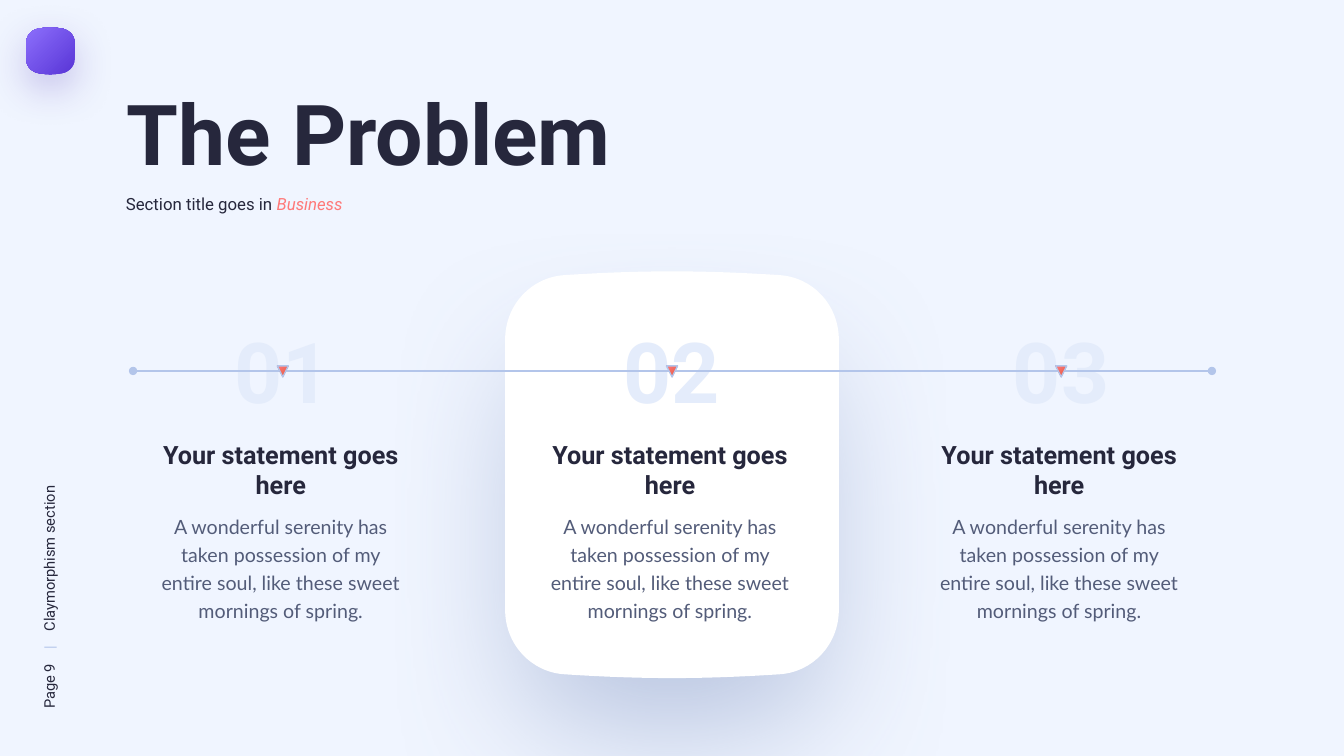
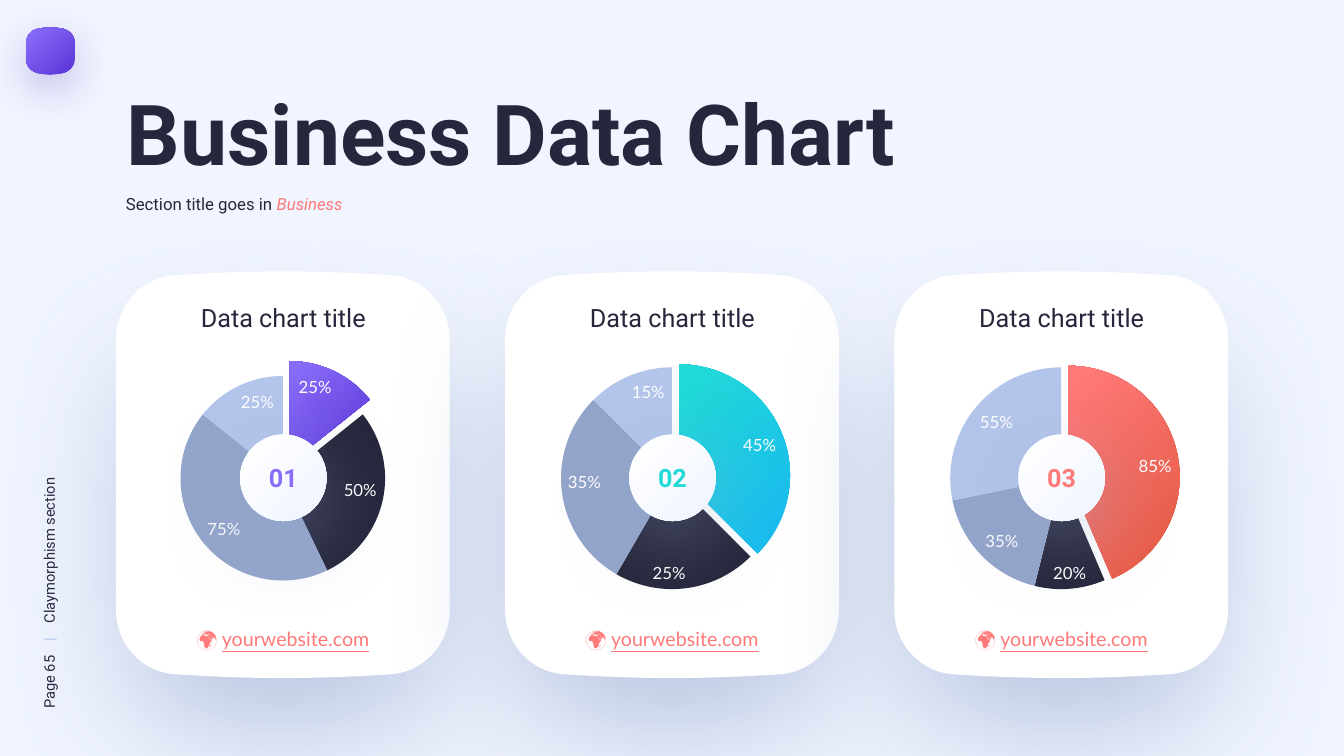
from lxml import etree
from pptx import Presentation
from pptx import util as u
from pptx.chart import data as cd
from pptx.dml import color as dc
from pptx.enum import chart as ch, shapes, text as te
from pptx.oxml import ns, parse_xml

PX = 9144  # EMU per px, 100 px to the inch
W, H = 1333, 750
C = {"bg": "F0F5FF", "ink": "26273C", "body": "535C79", "pale": "E4ECFB",
     "sky": "B3C5EA", "steel": "93A4CB", "white": "FFFFFF", "coral": "FF7979",
     "brick": "E45B44", "violet": "8A6CFA", "indigo": "5B38D8",
     "night": "3F21AB", "teal": "21DAD7", "azure": "18BAF0"}
VIOLET, TEAL, CORAL = ("violet", "indigo"), ("teal", "azure"), ("coral", "brick")

# Three equal columns, centred on the slide
CARD_W, CARD_H, CARD_Y, PITCH = 331, 406, 268, 386
COLUMNS = [((W - CARD_W) // 2 + PITCH * i, CARD_Y) for i in (-1, 0, 1)]


def emu(*px):
    return [u.Emu(round(v * PX)) for v in px]


def rgb(name):
    return dc.RGBColor.from_string(C[name])


def paint(fill, color, angle=None):
    """Solid for a colour name; for a pair a gradient, radial without an angle."""
    if isinstance(color, str):
        fill.solid()
        fill.fore_color.rgb = rgb(color)
        return
    fill.gradient()
    for stop, name, at in zip(fill.gradient_stops, color, (0.05, 0.95)):
        stop.color.rgb = rgb(name)
        stop.position = at
    if angle is not None:
        fill.gradient_angle = angle
        return
    grad = fill._fill._gradFill
    lin = grad.find(ns.qn("a:lin"))
    grad.replace(lin, parse_xml(
        f'<a:path {ns.nsdecls("a")} path="circle">'
        '<a:fillToRect r="100000" b="100000"/></a:path>'))


def style(sp, color, angle=None, line=None, shadow=None):
    """shadow is (colour, opacity %, blur pt, distance pt, size %), downwards."""
    sp.shadow.inherit = False
    paint(sp.fill, color, angle)
    if line:
        sp.line.color.rgb = rgb(line)
        sp.line.width = u.Pt(1)
    else:
        sp.line.fill.background()
    if shadow:
        name, alpha, blur, dist, size = shadow
        sp._element.spPr.find(ns.qn("a:effectLst")).append(parse_xml(
            f'<a:outerShdw {ns.nsdecls("a")} blurRad="{u.Pt(blur)}" '
            f'dist="{u.Pt(dist)}" dir="5400000" sx="{size * 1000}" '
            f'sy="{size * 1000}" algn="ctr" rotWithShape="0">'
            f'<a:srgbClr val="{C[name]}"><a:alpha val="{alpha * 1000}"/>'
            '</a:srgbClr></a:outerShdw>'))


def text(s, box, *runs, size, color="ink", font="Roboto", bold=None,
         center=False, spacing=None, rotation=0):
    """Each run is a string or (string, {color, italic, underline})."""
    sp = s.shapes.add_textbox(*emu(*box))
    sp.rotation = rotation
    tf = sp.text_frame
    tf.word_wrap = True
    p = tf.paragraphs[0]
    p.alignment = te.PP_ALIGN.CENTER if center else te.PP_ALIGN.LEFT
    if spacing:
        p.line_spacing = spacing
    for run in runs:
        words, extra = (run, {}) if isinstance(run, str) else run
        r = p.add_run()
        r.text = words
        f = r.font
        f.name, f.size, f.bold = font, u.Pt(size), bold
        f.italic, f.underline = extra.get("italic"), extra.get("underline")
        paint(f.fill, extra.get("color", color))


def squircle(s, box, rx, ry, bulge):
    """Rounded box whose top and bottom edges bulge; rx, ry size the corners."""
    x, y, w, h = box
    half = [(0, ry), (0, ry / 2), (0.44 * rx, 1.4 * bulge), (rx, bulge),
            (0.41 * w, 0)]
    top = half + [(w - px, py) for px, py in reversed(half)]
    outline = top + [(w - px, h - py) for px, py in top]
    points = [tuple(emu(x + px, y + py)) for px, py in outline]
    fb = s.shapes.build_freeform(*points[0])
    fb.add_line_segments(points[1:], close=True)
    sp = fb.convert_to_shape()
    # Join the points in threes into curves, leaving out the straight side
    lines = list(sp._element.iter(ns.qn("a:lnTo")))
    side = len(top) - 1
    for start in [*range(0, side, 3), *range(side + 1, 2 * side + 1, 3)]:
        curve = etree.Element(ns.qn("a:cubicBezTo"))
        lines[start].addprevious(curve)
        for ln in lines[start:start + 3]:
            curve.append(ln[0])
            ln.getparent().remove(ln)
    return sp


def card(s, x, y):
    sp = squircle(s, (x, y, CARD_W, CARD_H), 59, 69, 5)
    style(sp, "white", shadow=("steel", 60, 100, 49, 90))


def base(prs, title, page):
    """Blank slide with background, side label, badge and heading."""
    s = prs.slides.add_slide(prs.slide_layouts[6])
    paint(s.background.fill, "bg")
    text(s, (-111, 538, 321, 29), f"Page {page}    ", ("|    ", {"color": "sky"}),
         "Claymorphism section", size=10.5, rotation=270)
    badge = squircle(s, (26, 27, 48, 47), 15, 15, 1)
    style(badge, VIOLET, shadow=("night", 25, 30, 10, 100))
    text(s, (116, 76, 1065, 111), title, size=60, bold=True)
    text(s, (115, 187, 356, 30), "Section title goes in ",
         ("Business", {"color": "coral", "italic": True}), size=12)
    return s


def statement(s, x, y, number):
    text(s, (x + 65, y + 44, 201, 111), number, size=60, color="pale",
         bold=True, center=True)
    text(s, (x + 28, y + 163, 271, 71), "Your statement goes here", size=18,
         bold=True, center=True)
    text(s, (x + 28, y + 233, 271, 120),
         "A wonderful serenity has taken possession of my entire soul, "
         "like these sweet mornings of spring.",
         size=14, color="body", font="Lato", center=True, spacing=1.2)


def timeline(s, x1, x2, y):
    line = s.shapes.add_connector(shapes.MSO_CONNECTOR.STRAIGHT,
                                  *emu(x1, y, x2, y))
    line.line.color.rgb = rgb("sky")
    line.line.width = u.Pt(1)
    spPr = line._element.spPr
    for end in ("a:headEnd", "a:tailEnd"):
        etree.SubElement(spPr.find(ns.qn("a:ln")), ns.qn(end), type="oval")
    etree.SubElement(spPr, ns.qn("a:effectLst"))
    for left, _ in COLUMNS:
        mark = s.shapes.add_shape(shapes.MSO_SHAPE.ISOSCELES_TRIANGLE,
                                  *emu(left + 160, y - 5, 11, 11))
        mark.rotation = 180
        style(mark, CORAL, line="sky")


def pie(s, box, values, accent, explosion):
    data = cd.CategoryChartData(number_format="0%")
    data.categories = ["1", "2", "3", "4"]
    data.add_series("Series 1", values)
    chart = s.shapes.add_chart(ch.XL_CHART_TYPE.PIE, *emu(*box), data).chart
    chart.has_legend = chart.has_title = False
    plot = chart.plots[0]
    plot.vary_by_categories = True
    plot.has_data_labels = True
    labels = plot.data_labels
    labels.show_value = True
    labels.number_format, labels.number_format_is_linked = "0%", False
    labels.position = ch.XL_LABEL_POSITION.INSIDE_END
    for f in (chart.font, labels.font):
        f.name, f.size = "Lato", u.Pt(12)
        f.color.rgb = rgb("white")
    for i, color in enumerate((accent, "ink", "steel", "sky")):
        look = plot.series[0].points[i].format
        paint(look.fill, color)
        look.line.fill.background()
    # Pull out the first slice
    first = chart._chartSpace.find(".//" + ns.qn("c:dPt"))
    first.find(ns.qn("c:spPr")).addprevious(parse_xml(
        f'<c:explosion {ns.nsdecls("c")} val="{explosion}"/>'))


def chart_card(s, x, y, number, values, accent, explosion):
    card(s, x, y)
    pie(s, (x + 29, y + 75, 273, 263), values, accent, explosion)
    hub = s.shapes.add_shape(shapes.MSO_SHAPE.OVAL,
                             *emu(x + 123, y + 163, 86, 86))
    style(hub, ("white", "bg"), angle=315, shadow=("steel", 40, 59, 16, 100))
    text(s, (x + 131, y + 186, 70, 40), number, size=18, color=accent,
         bold=True, center=True)
    text(s, (x + 20, y + 27, 292, 40), "Data chart title", size=18, center=True)
    text(s, (x + 20, y + 344, 292, 35), "🌍 ",
         ("yourwebsite.com", {"underline": True}), size=14, color="coral",
         font="Lato", center=True, spacing=1.2)


def problem_slide(prs):
    s = base(prs, "The Problem", 9)
    for i in (0, 2, 1):  # the raised middle card goes on top
        if i == 1:
            card(s, *COLUMNS[i])
        statement(s, *COLUMNS[i], f"0{i + 1}")
    timeline(s, 132, 1202, CARD_Y + 100)


def chart_slide(prs):
    s = base(prs, "Business Data Chart", 65)
    charts = [((0.25, 0.5, 0.75, 0.25), VIOLET, 16),
              ((0.45, 0.25, 0.35, 0.15), TEAL, 7),
              ((0.85, 0.2, 0.35, 0.55), CORAL, 7)]
    for i, (corner, spec) in enumerate(zip(COLUMNS, charts), 1):
        chart_card(s, *corner, f"0{i}", *spec)


def main():
    prs = Presentation()
    prs.slide_width, prs.slide_height = emu(W, H)
    problem_slide(prs)
    chart_slide(prs)
    prs.save("out.pptx")


if __name__ == "__main__":
    main()
